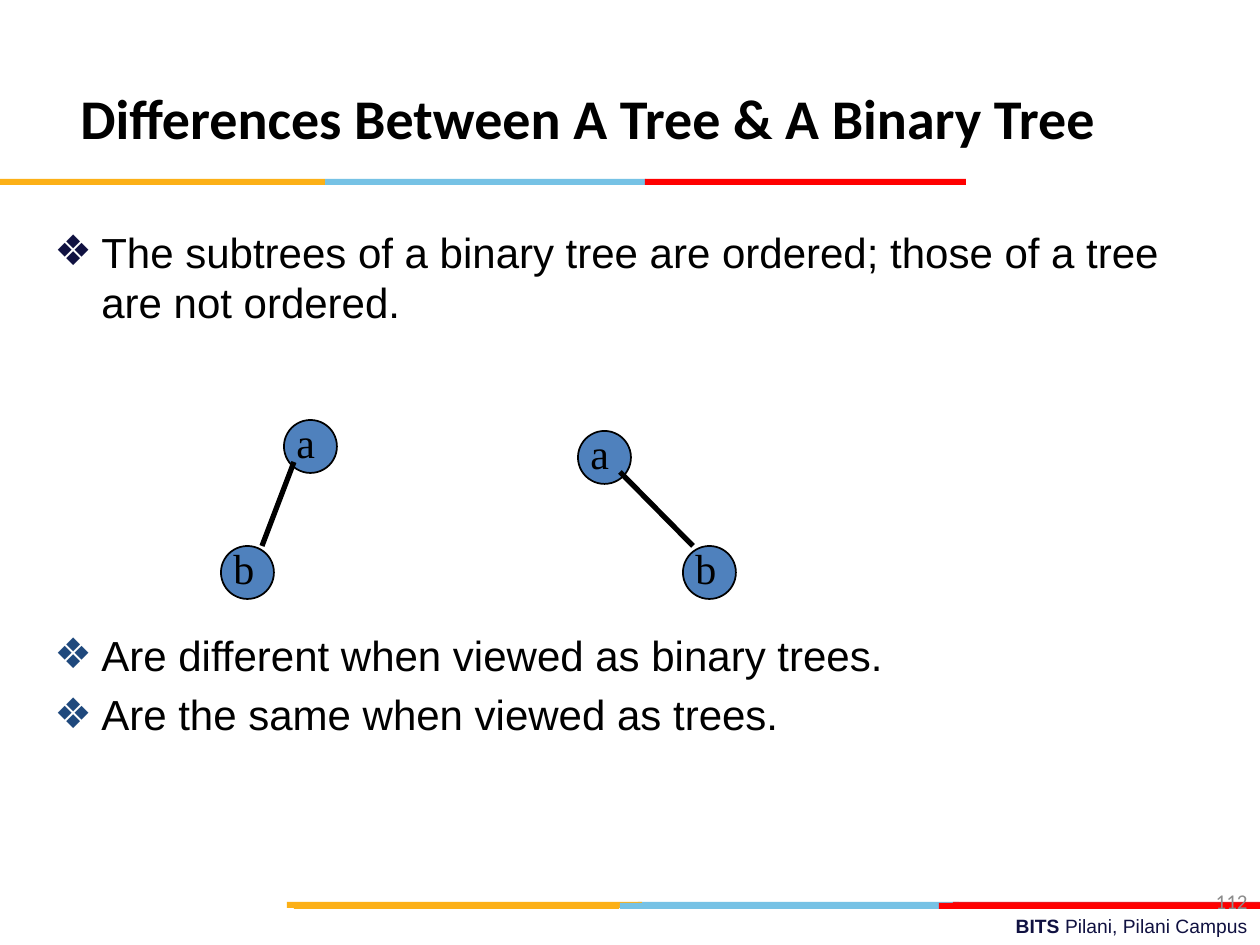
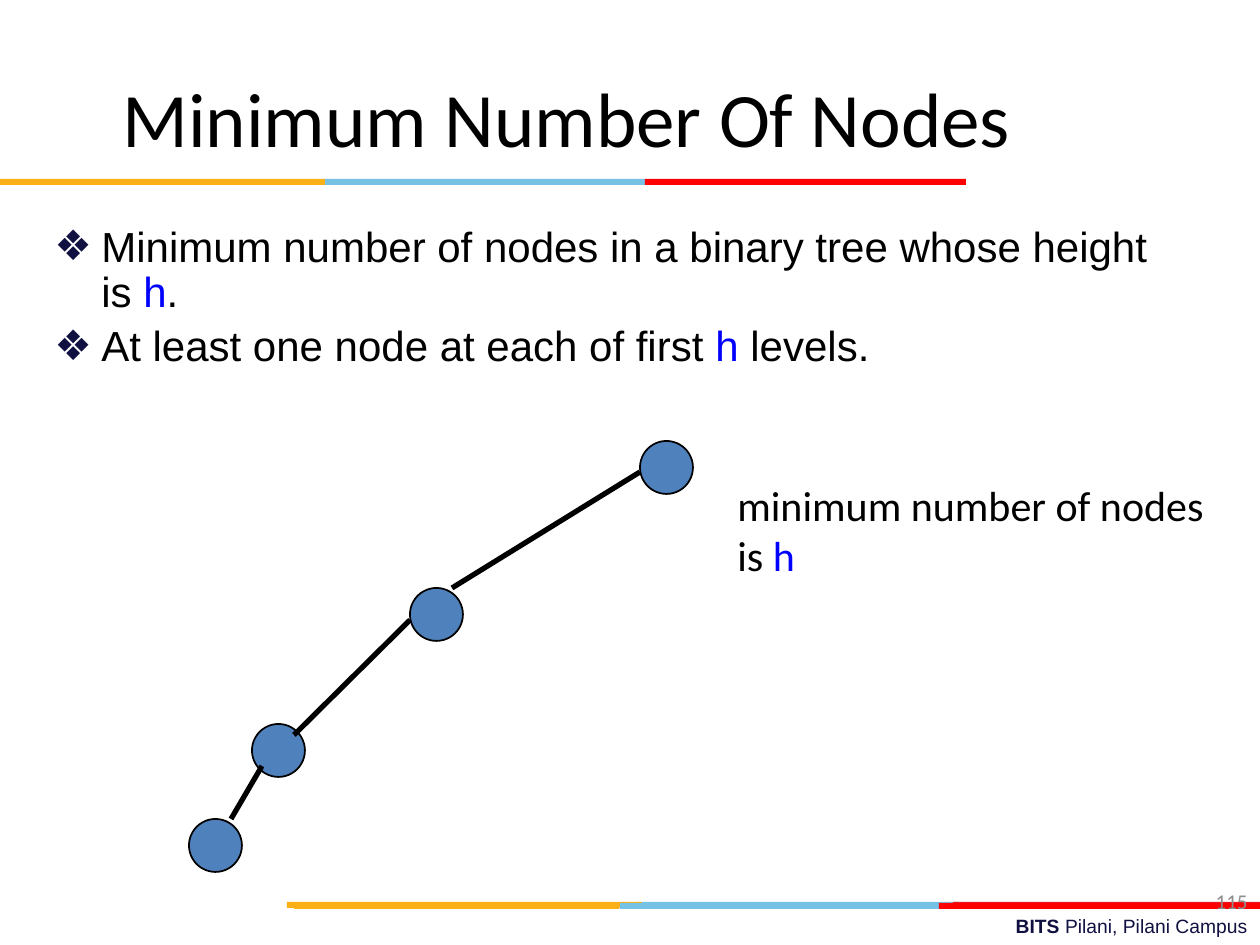
from pptx import Presentation
from pptx.dml.color import RGBColor
from pptx.enum.shapes import MSO_CONNECTOR, MSO_SHAPE
from pptx.enum.text import MSO_ANCHOR, MSO_AUTO_SIZE, PP_ALIGN
from pptx.oxml.ns import qn
from pptx.util import Pt
from lxml.etree import SubElement

BLACK = RGBColor(0x00, 0x00, 0x00)
NAVY = RGBColor(0x10, 0x11, 0x41)
BLUE = RGBColor(0x00, 0x00, 0xFF)
DARK_BLUE = RGBColor(0x1F, 0x49, 0x7D)
NODE_BLUE = RGBColor(0x4F, 0x81, 0xBD)
GREY = RGBColor(0x8C, 0x8C, 0x8C)
AMBER = RGBColor(0xFC, 0xB0, 0x17)
SKY = RGBColor(0x76, 0xC2, 0xE5)
CRIMSON = RGBColor(0xE3, 0x1C, 0x24)
RED = RGBColor(0xFF, 0x00, 0x00)

PX = 914400 / 126
SLIDE_SIZE = 1260, 945
NODE_SIZE = 53
BAND_HEIGHT = 6

BANDS = [
    (638, 902, 321, SKY), (953, 902, 307, CRIMSON), (287, 902, 355, AMBER),
    (620, 903, 321, SKY), (294, 903, 325, AMBER), (939, 903, 321, RED),
    (325, 179, 321, SKY), (0, 179, 325, AMBER), (645, 179, 321, RED),
]
FOOTER = [("BITS ", True), ("Pilani, Pilani Campus", False)]

SLIDES = [
    {
        "title": "Differences Between A Tree & A Binary Tree",
        "title_box": (42, 38, 1092, 158), "title_size": 32, "title_bold": True,
        "number": "112",
        "bullets": [
            ((42, 220, 1134, 130), 1.0, NAVY, [
                [("The subtrees of a binary tree are ordered; those of a tree are not ordered.", BLACK)],
            ]),
            ((42, 623, 1134, 130), 1.0, DARK_BLUE, [
                [("Are different when viewed as binary trees.", BLACK)],
                [("Are the same when viewed as trees.", BLACK)],
            ]),
        ],
        "nodes": [(284, 420, "a"), (221, 546, "b"), (578, 431, "a"), (683, 546, "b")],
        "edges": [(294, 462, 262, 546), (620, 472, 693, 546)],
        "notes": [],
    },
    {
        "title": "Minimum Number Of Nodes",
        "title_box": (0, 38, 1134, 158), "title_size": 44, "title_bold": False,
        "number": "115",
        "bullets": [
            ((42, 220, 1134, 624), 0.9, NAVY, [
                [("Minimum number of nodes in a binary tree whose height is ", BLACK),
                 ("h", BLUE), (".", BLACK)],
                [("At least one node at each of first ", BLACK), ("h", BLUE), (" levels.", BLACK)],
            ]),
        ],
        "nodes": [(252, 724, ""), (189, 819, ""), (410, 588, ""), (640, 441, "")],
        "edges": [(262, 766, 231, 819), (410, 620, 294, 735), (640, 472, 452, 588)],
        "notes": [((725, 473, 494, 115), [("minimum number of nodes is", BLACK), (" h", BLUE)])],
    },
]


def scaled(*lengths):
    return [round(length * PX) for length in lengths]


def set_font(font, name, size, color=None, bold=None):
    font.name, font.size, font.bold = name, Pt(size), bold
    if color is not None:
        font.color.rgb = color


def add_text_box(slide, box, anchor=MSO_ANCHOR.TOP):
    frame = slide.shapes.add_textbox(*scaled(*box)).text_frame
    frame.word_wrap = True
    frame.vertical_anchor = anchor
    return frame


def add_colored_runs(paragraph, segments):
    for text, color in segments:
        run = paragraph.add_run()
        run.text = text
        run.font.color.rgb = color


def add_shape(slide, kind, box, fill):
    shape = slide.shapes.add_shape(kind, *scaled(*box))
    shape.shadow.inherit = False
    shape.fill.solid()
    shape.fill.fore_color.rgb = fill
    shape.line.fill.background()
    return shape


def add_frame(slide, number):
    footer = add_text_box(slide, (451, 908, 809, 37)).paragraphs[0]
    footer.alignment = PP_ALIGN.RIGHT
    for text, bold in FOOTER:
        run = footer.add_run()
        run.text = text
        run.font.bold = bold
    set_font(footer.font, "Arial", 11, NAVY)
    for left, top, width, color in BANDS:
        add_shape(slide, MSO_SHAPE.RECTANGLE, (left, top, width, BAND_HEIGHT), color)
    page = add_text_box(slide, (966, 876, 294, 50), MSO_ANCHOR.MIDDLE).paragraphs[0]
    page.text = number
    page.alignment = PP_ALIGN.RIGHT
    set_font(page.font, "Calibri", 12, GREY)


def set_title(slide, content):
    title = slide.shapes.title
    title.left, title.top, title.width, title.height = scaled(*content["title_box"])
    frame = title.text_frame
    frame.text = content["title"]
    frame.auto_size = MSO_AUTO_SIZE.NONE
    frame.vertical_anchor = MSO_ANCHOR.MIDDLE
    paragraph = frame.paragraphs[0]
    paragraph.alignment = PP_ALIGN.CENTER
    set_font(paragraph.font, "Calibri", content["title_size"], BLACK, content["title_bold"])


def add_bullet(paragraph, color):
    properties = paragraph._p.get_or_add_pPr()
    indent = round(47 * PX)
    properties.set("marL", str(indent))
    properties.set("indent", str(-indent))
    bullet_color = SubElement(properties, qn("a:buClr"))
    SubElement(bullet_color, qn("a:srgbClr"), val=str(color))
    SubElement(properties, qn("a:buFont"), typeface="Arial")
    SubElement(properties, qn("a:buChar"), char="❖")


def add_bullets(slide, box, line_spacing, bullet_color, items):
    frame = add_text_box(slide, box)
    for index, segments in enumerate(items):
        paragraph = frame.add_paragraph() if index else frame.paragraphs[0]
        paragraph.line_spacing = line_spacing
        paragraph.space_before = Pt(5 if index else 0)
        add_bullet(paragraph, bullet_color)
        set_font(paragraph.font, "Arial", 24)
        add_colored_runs(paragraph, segments)


def add_edge(slide, ends):
    edge = slide.shapes.add_connector(MSO_CONNECTOR.STRAIGHT, *scaled(*ends))
    edge.line.color.rgb = BLACK
    edge.line.width = Pt(3)
    SubElement(edge._element.spPr, qn("a:effectLst"))


def add_tree(slide, nodes, edges):
    for left, top, label in nodes:
        node = add_shape(slide, MSO_SHAPE.OVAL, (left, top, NODE_SIZE, NODE_SIZE), NODE_BLUE)
        node.line.color.rgb = BLACK
        node.line.width = Pt(1)
        if label:
            paragraph = add_text_box(slide, (left, top - 10, 42, 63)).paragraphs[0]
            paragraph.text = label
            set_font(paragraph.font, "Times New Roman", 24, BLACK)
    for ends in edges:
        add_edge(slide, ends)


def main():
    presentation = Presentation()
    presentation.slide_width, presentation.slide_height = scaled(*SLIDE_SIZE)
    for content in SLIDES:
        slide = presentation.slides.add_slide(presentation.slide_layouts[5])
        add_frame(slide, content["number"])
        set_title(slide, content)
        for bullets in content["bullets"]:
            add_bullets(slide, *bullets)
        add_tree(slide, content["nodes"], content["edges"])
        for box, segments in content["notes"]:
            paragraph = add_text_box(slide, box).paragraphs[0]
            set_font(paragraph.font, "Calibri", 24)
            add_colored_runs(paragraph, segments)
    presentation.save("out.pptx")


if __name__ == "__main__":
    main()
